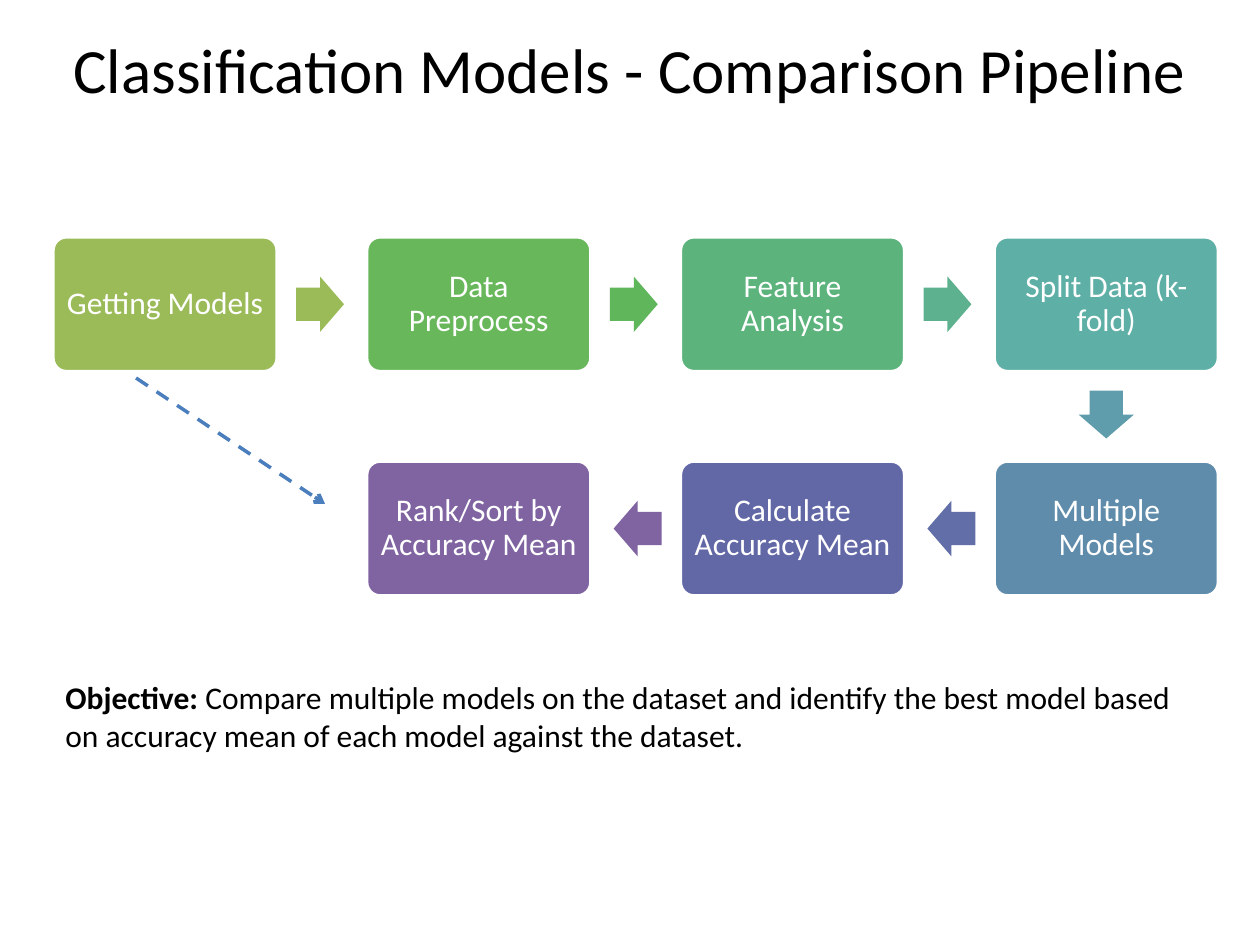
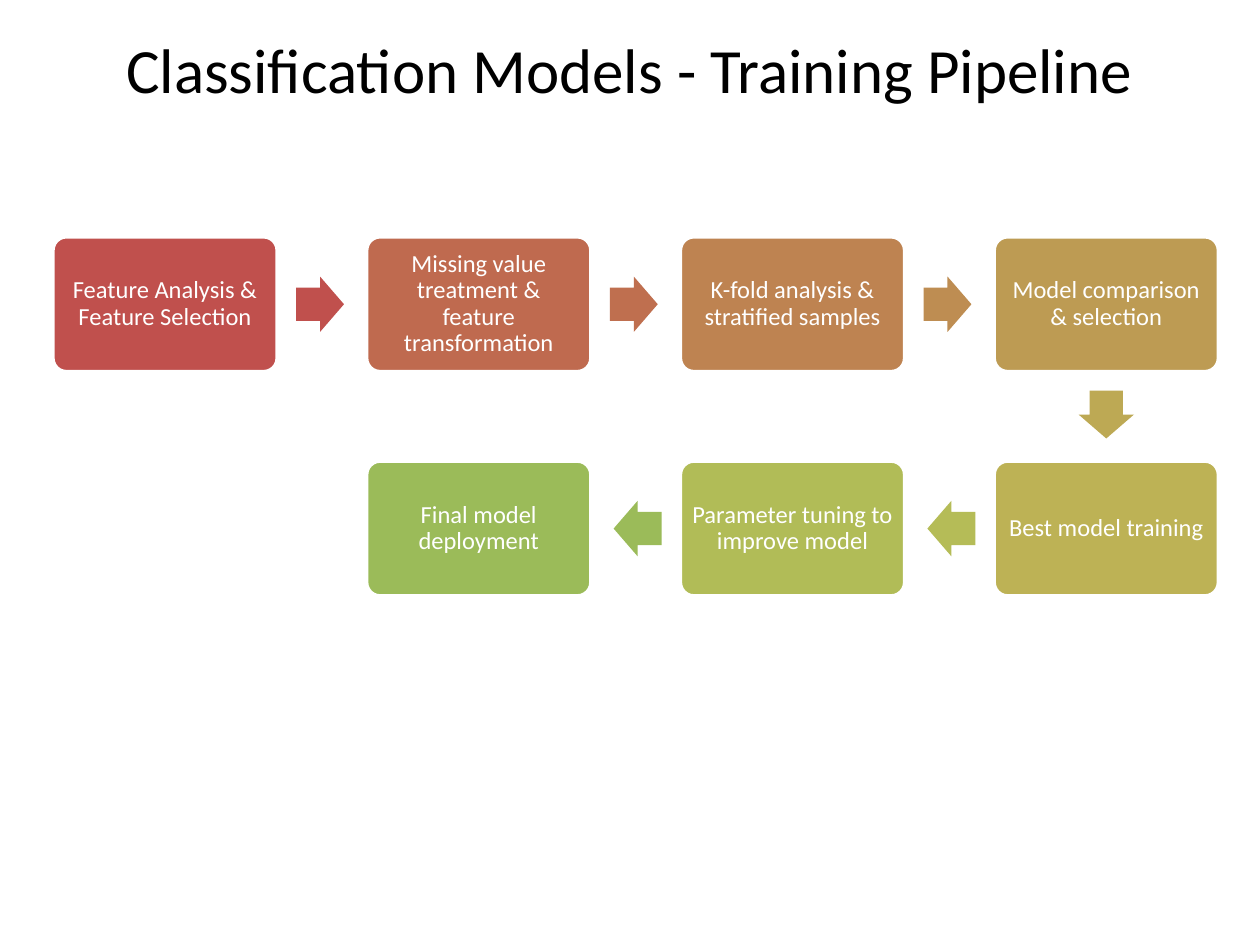
from pptx import Presentation
from pptx.dml import color
from pptx.enum import dml, shapes, text
from pptx.oxml import parse_xml
from pptx.oxml.ns import nsdecls
from pptx.util import Inches, Pt

FONT = "Calibri"
BLACK, WHITE, LINK_BLUE = "000000", "FFFFFF", "4B7EBC"
TITLE_BOX = (0.08, 0.08, 9.83, 0.92)
FLOW_ORIGIN = (0.42, 1.88)
OBJECTIVE_BOX = (0.42, 5.33, 9.25, 0.71)

# Pipeline grid: step size, distance between steps, arrow size
STEP_W, STEP_H = 1.78, 1.07
PITCH_X, PITCH_Y = 2.49, 1.78
ARROW_W, ARROW_H = 0.38, 0.44
ARROW_REACH = 0.34  # from the edge of a step to the centre of its arrow
COLUMNS = 4

# Each step: label, fill, fill of the arrow leading into it
COMPARISON = [
    ("Getting Models", "9BBB59", None),
    ("Data Preprocess", "69B75B", "9BBB59"),
    ("Feature Analysis", "5CB37C", "5FB65B"),
    ("Split Data (k-fold)", "5EAFA6", "5DB18E"),
    ("Multiple Models", "608CAB", "5F9DAC"),
    ("Calculate Accuracy Mean", "6267A6", "626EA7"),
    ("Rank/Sort by Accuracy Mean", "8064A2", "8064A2"),
]
TRAINING = [
    ("Feature Analysis & Feature Selection", "C0504D", None),
    ("Missing value treatment & feature transformation", "BF6A4F", "C0504D"),
    ("K-fold analysis & stratified samples", "BE8351", "BF6F4F"),
    ("Model comparison & selection", "BD9B53", "BE8D52"),
    ("Best model training", "BDB255", "BDA954"),
    ("Parameter tuning to improve model", "B1BC57", "B5BC57"),
    ("Final model deployment", "9BBB59", "9BBB59"),
]


def rgb(value):
    return color.RGBColor.from_string(value)


def add_span(para, words, size=18, fill=BLACK, bold=False):
    span = para.add_run()
    span.text = words
    span.font.name, span.font.size, span.font.bold = FONT, Pt(size), bold
    span.font.color.rgb = rgb(fill)


def add_title(page, words, box):
    title = page.shapes.title
    title.left, title.top, title.width, title.height = map(Inches, box)
    frame = title.text_frame
    frame.vertical_anchor = text.MSO_ANCHOR.MIDDLE
    para = frame.paragraphs[0]
    para.alignment = text.PP_ALIGN.CENTER
    add_span(para, words, size=36)


def add_solid(page, kind, box, fill):
    """A preset shape with a plain fill and no outline."""
    shape = page.shapes.add_shape(kind, *map(Inches, box))
    shape.shadow.inherit = False
    shape.fill.solid()
    shape.fill.fore_color.rgb = rgb(fill)
    shape.line.fill.background()
    return shape


def add_step(page, words, box, fill, size, inset):
    step = add_solid(page, shapes.MSO_SHAPE.ROUNDED_RECTANGLE, box, fill)
    step.adjustments[0] = 0.1
    step.line.color.rgb = rgb(WHITE)
    step.line.width = Pt(2)
    frame = step.text_frame
    frame.word_wrap = True
    frame.vertical_anchor = text.MSO_ANCHOR.MIDDLE
    frame.margin_left = frame.margin_right = Inches(inset)
    frame.margin_top = frame.margin_bottom = Inches(inset)
    para = frame.paragraphs[0]
    para.alignment = text.PP_ALIGN.CENTER
    para.line_spacing = 0.9
    add_span(para, words, size=size, fill=WHITE)


def add_arrow(page, centre_x, centre_y, turn, fill):
    box = (centre_x - ARROW_W / 2, centre_y - ARROW_H / 2, ARROW_W, ARROW_H)
    arrow = add_solid(page, shapes.MSO_SHAPE.RIGHT_ARROW, box, fill)
    arrow.adjustments[0], arrow.adjustments[1] = 0.6, 0.5
    arrow.rotation = turn


def step_corner(index, origin):
    """Rows run alternately to the right and to the left."""
    row, column = divmod(index, COLUMNS)
    if row % 2:
        column = COLUMNS - 1 - column
    return origin[0] + column * PITCH_X, origin[1] + row * PITCH_Y


def add_pipeline(page, steps, origin, size, inset):
    for index, (words, fill, arrow_fill) in enumerate(steps):
        left, top = step_corner(index, origin)
        if arrow_fill:
            # The arrow leaves the previous step towards this one
            old_left, old_top = step_corner(index - 1, origin)
            x, y = old_left + STEP_W / 2, old_top + STEP_H / 2
            if top > old_top:
                add_arrow(page, x, y + STEP_H / 2 + ARROW_REACH, 90, arrow_fill)
            elif left > old_left:
                add_arrow(page, x + STEP_W / 2 + ARROW_REACH, y, 0, arrow_fill)
            else:
                add_arrow(page, x - STEP_W / 2 - ARROW_REACH, y, 180, arrow_fill)
        add_step(page, words, (left, top, STEP_W, STEP_H), fill, size, inset)


def add_dashed_link(page, origin):
    """Dashed arrow from below the first step towards the last one."""
    x, y = origin[0] + 0.66, origin[1] + 1.12
    link = page.shapes.add_connector(
        shapes.MSO_CONNECTOR.STRAIGHT, *map(Inches, (x, y, x + 1.5, y + 1)))
    link.line.color.rgb = rgb(LINK_BLUE)
    link.line.width = Pt(2)
    link.line.dash_style = dml.MSO_LINE.DASH
    link.line._get_or_add_ln().append(
        parse_xml(f'<a:tailEnd {nsdecls("a")} type="arrow"/>'))
    link._element.spPr.append(parse_xml(f'<a:effectLst {nsdecls("a")}/>'))


def add_objective(page, words, box):
    note = page.shapes.add_textbox(*map(Inches, box))
    note.text_frame.word_wrap = True
    para = note.text_frame.paragraphs[0]
    add_span(para, "Objective: ", bold=True)
    add_span(para, words)


def pipeline_page(deck, title, steps, size, inset):
    page = deck.slides.add_slide(deck.slide_layouts.get_by_name("Title Only"))
    add_title(page, title, TITLE_BOX)
    add_pipeline(page, steps, FLOW_ORIGIN, size, inset)
    return page


deck = Presentation()
deck.slide_width, deck.slide_height = Inches(10), Inches(7.5)

# Comparison pipeline
comparison = pipeline_page(
    deck, "Classification Models - Comparison Pipeline", COMPARISON, 18, 0.07)
add_dashed_link(comparison, FLOW_ORIGIN)
add_objective(
    comparison,
    "Compare multiple models on the dataset and identify the best model based "
    "on accuracy mean of each model against the dataset.",
    OBJECTIVE_BOX)

# Training pipeline
pipeline_page(
    deck, "Classification Models - Training Pipeline", TRAINING, 14, 0.06)

deck.save("out.pptx")
